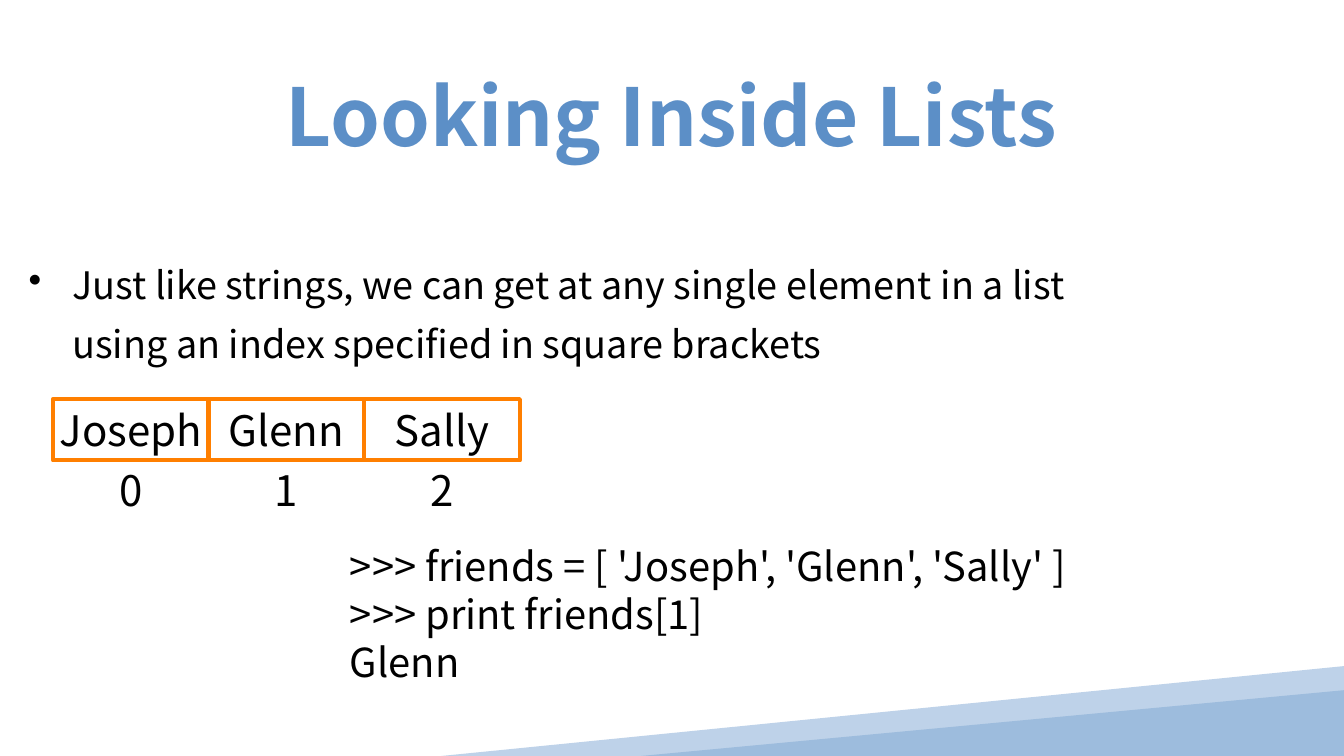
"""Build a slide about reading list elements by index."""
import lxml.etree
import pptx
import pptx.dml.color
import pptx.enum.shapes
import pptx.enum.text
import pptx.oxml.ns
import pptx.util

Cm = pptx.util.Cm
Pt = pptx.util.Pt
RGBColor = pptx.dml.color.RGBColor
ALIGN = pptx.enum.text.PP_ALIGN
ANCHOR = pptx.enum.text.MSO_ANCHOR
SHAPE = pptx.enum.shapes.MSO_SHAPE

FONT = "Noto Sans CJK SC"
BLACK = RGBColor(0x00, 0x00, 0x00)
TITLE_BLUE = RGBColor(0x5C, 0x8F, 0xC7)
PALE_BLUE = RGBColor(0xBE, 0xD2, 0xE9)
MID_BLUE = RGBColor(0x9D, 0xBC, 0xDD)
ORANGE = RGBColor(0xFF, 0x7F, 0x00)

FRIENDS = ["Joseph", "Glenn", "Sally"]
CODE = [">>> friends = [ 'Joseph', 'Glenn', 'Sally' ]", ">>> print friends[1]", "Glenn"]
BULLET_TEXT = (
    "Just like strings, we can get at any single element in a list "
    "using an index specified in square brackets"
)
CELL_LEFT, CELL_TOP, CELL_WIDTH, CELL_HEIGHT = 1.78, 13.41, 5.23, 2.06
INDEX_TOP = 15.42


def write_text(shape, lines, size, color=BLACK, bold=False, align=ALIGN.LEFT,
               anchor=ANCHOR.MIDDLE, inset=0, spacing=None):
    frame = shape.text_frame
    frame.word_wrap = True
    frame.vertical_anchor = anchor
    frame.margin_left = frame.margin_right = Cm(inset)
    frame.margin_top = frame.margin_bottom = Cm(inset)
    for number, line in enumerate(lines):
        para = frame.add_paragraph() if number else frame.paragraphs[0]
        para.alignment = align
        if spacing:
            para.line_spacing = Pt(spacing)
        span = para.add_run()
        span.text = line
        span.font.name = FONT
        span.font.size = Pt(size)
        span.font.bold = bold
        span.font.color.rgb = color


def add_text(page, left, top, width, height, lines, **text_format):
    box = page.shapes.add_textbox(Cm(left), Cm(top), Cm(width), Cm(height))
    write_text(box, lines, **text_format)
    return box


def add_bullet(para, indent, hanging):
    properties = para._p.get_or_add_pPr()
    properties.set("marL", str(Cm(indent)))
    properties.set("indent", str(-Cm(hanging)))
    bullet = lxml.etree.SubElement(properties, pptx.oxml.ns.qn("a:buChar"))
    bullet.set("char", "•")


def fill_plain(shape, color):
    shape.shadow.inherit = False
    shape.fill.solid()
    shape.fill.fore_color.rgb = color
    shape.line.fill.background()


def add_corner(page):
    outline = page.shapes.build_freeform(Cm(45.16), Cm(22.38))
    corners = [(45.16, 25.2), (30.38, 25.4), (14.83, 25.4)]
    outline.add_line_segments([(Cm(x), Cm(y)) for x, y in corners], close=True)
    fill_plain(outline.convert_to_shape(), PALE_BLUE)
    wedge = page.shapes.add_shape(
        SHAPE.ISOSCELES_TRIANGLE, Cm(21.54), Cm(23.19), Cm(23.62), Cm(2.21))
    wedge.adjustments[0] = 1
    fill_plain(wedge, MID_BLUE)


def add_list_cell(page, index, name):
    left = CELL_LEFT + index * CELL_WIDTH
    cell = page.shapes.add_shape(
        SHAPE.RECTANGLE, Cm(left), Cm(CELL_TOP), Cm(CELL_WIDTH), Cm(CELL_HEIGHT))
    cell.shadow.inherit = False
    cell.fill.background()
    cell.line.color.rgb = ORANGE
    cell.line.width = Pt(4)
    write_text(cell, [name], size=40, align=ALIGN.CENTER)
    index_left = left + (CELL_WIDTH - CELL_HEIGHT) / 2
    add_text(page, index_left, INDEX_TOP, CELL_HEIGHT, CELL_HEIGHT, [str(index)],
             size=40, align=ALIGN.CENTER)


def main():
    deck = pptx.Presentation()
    deck.slide_width, deck.slide_height = Cm(45.16), Cm(25.4)
    page = deck.slides.add_slide(deck.slide_layouts[6])
    add_corner(page)
    add_text(page, 3.2, 0.66, 38.71, 6.38, ["Looking Inside Lists"], size=76,
             color=TITLE_BLUE, bold=True, align=ALIGN.CENTER, inset=0.1)
    body = add_text(page, 0.25, 6.6, 38.71, 7.44, [BULLET_TEXT], size=36,
                    inset=0.1, spacing=56.2)
    add_bullet(body.text_frame.paragraphs[0], indent=2.08, hanging=1.47)
    for index, name in enumerate(FRIENDS):
        add_list_cell(page, index, name)
    add_text(page, 11.76, 18.19, 26, 6.43, CODE, size=38, anchor=ANCHOR.TOP, spacing=45.6)
    deck.save("out.pptx")


if __name__ == "__main__":
    main()
